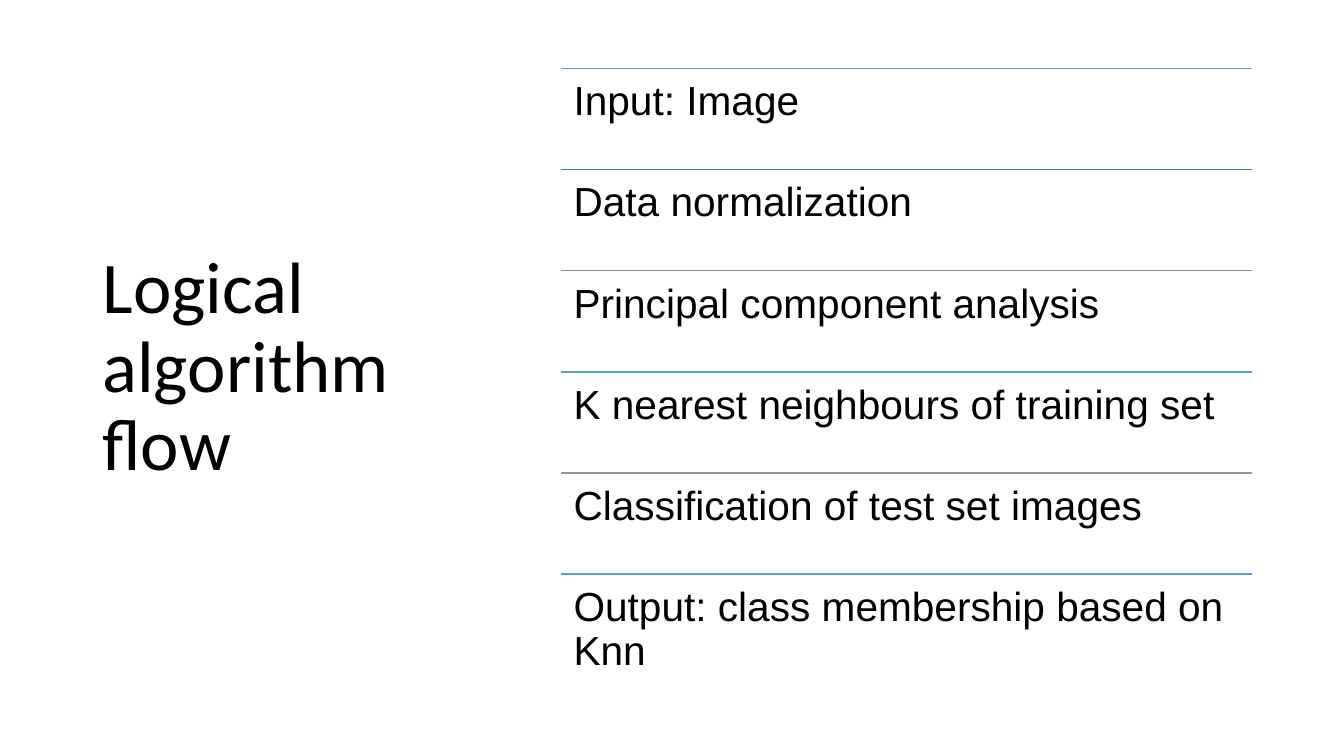
from lxml.etree import SubElement
from pptx import Presentation
from pptx.dml.color import RGBColor
from pptx.enum.shapes import MSO_CONNECTOR
from pptx.enum.text import MSO_ANCHOR, MSO_AUTO_SIZE, PP_ALIGN
from pptx.oxml.ns import qn
from pptx.util import Pt

BLACK = RGBColor(0x00, 0x00, 0x00)
SKY = RGBColor(0x62, 0x9D, 0xD1)
BLUE = RGBColor(0x29, 0x7F, 0xD5)
SLATE = RGBColor(0x7F, 0x8F, 0xA9)
TEAL = RGBColor(0x5A, 0xA2, 0xAE)
MAUVE = RGBColor(0x9D, 0x90, 0xA0)

TITLE = "Logical algorithm flow"
STEPS = [
    ("Input: Image", SKY),
    ("Data normalization", BLUE),
    ("Principal component analysis", SLATE),
    ("K nearest neighbours of training set", TEAL),
    ("Classification of test set images", MAUVE),
    ("Output: class membership based on Knn", SKY),
]
STEPS_LEFT, STEPS_TOP, STEP_WIDTH, STEP_HEIGHT = 401, 49, 493.2, 72.2
STEP_INSET = 8.7

TITLE_FRAME = {"word_wrap": True, "auto_size": MSO_AUTO_SIZE.NONE,
               "vertical_anchor": MSO_ANCHOR.MIDDLE}
STEP_FRAME = {"word_wrap": True, "auto_size": MSO_AUTO_SIZE.NONE,
              "vertical_anchor": MSO_ANCHOR.TOP,
              "margin_left": Pt(STEP_INSET), "margin_right": Pt(STEP_INSET),
              "margin_top": Pt(STEP_INSET), "margin_bottom": Pt(STEP_INSET)}
PARAGRAPH = {"alignment": PP_ALIGN.LEFT, "line_spacing": 0.9}
TITLE_FONT = {"name": "Calibri", "size": Pt(52)}
STEP_FONT = {"name": "Arial", "size": Pt(29)}


def apply(target, values):
    for name, value in values.items():
        setattr(target, name, value)


def write(tf, text, frame, font):
    apply(tf, frame)
    p = tf.paragraphs[0]
    apply(p, PARAGRAPH)
    r = p.add_run()
    r.text = text
    apply(r.font, font)
    r.font.color.rgb = BLACK


def add_rule(s, top, color):
    line = s.shapes.add_connector(
        MSO_CONNECTOR.STRAIGHT, Pt(STEPS_LEFT), Pt(top),
        Pt(STEPS_LEFT + STEP_WIDTH), Pt(top))
    line.line.color.rgb = color
    line.line.width = Pt(1)
    SubElement(line._element.spPr, qn("a:effectLst"))


def main():
    prs = Presentation()
    prs.slide_width, prs.slide_height = Pt(960), Pt(540)
    s = prs.slides.add_slide(prs.slide_layouts[5])

    title = s.shapes.title
    apply(title, {"left": Pt(66), "top": Pt(44),
                  "width": Pt(265.7), "height": Pt(438.5)})
    write(title.text_frame, TITLE, TITLE_FRAME, TITLE_FONT)

    for i, (text, color) in enumerate(STEPS):
        top = STEPS_TOP + i * STEP_HEIGHT
        add_rule(s, top, color)
        box = s.shapes.add_textbox(Pt(STEPS_LEFT), Pt(top),
                                   Pt(STEP_WIDTH), Pt(STEP_HEIGHT))
        write(box.text_frame, text, STEP_FRAME, STEP_FONT)

    prs.save("out.pptx")


if __name__ == "__main__":
    main()
